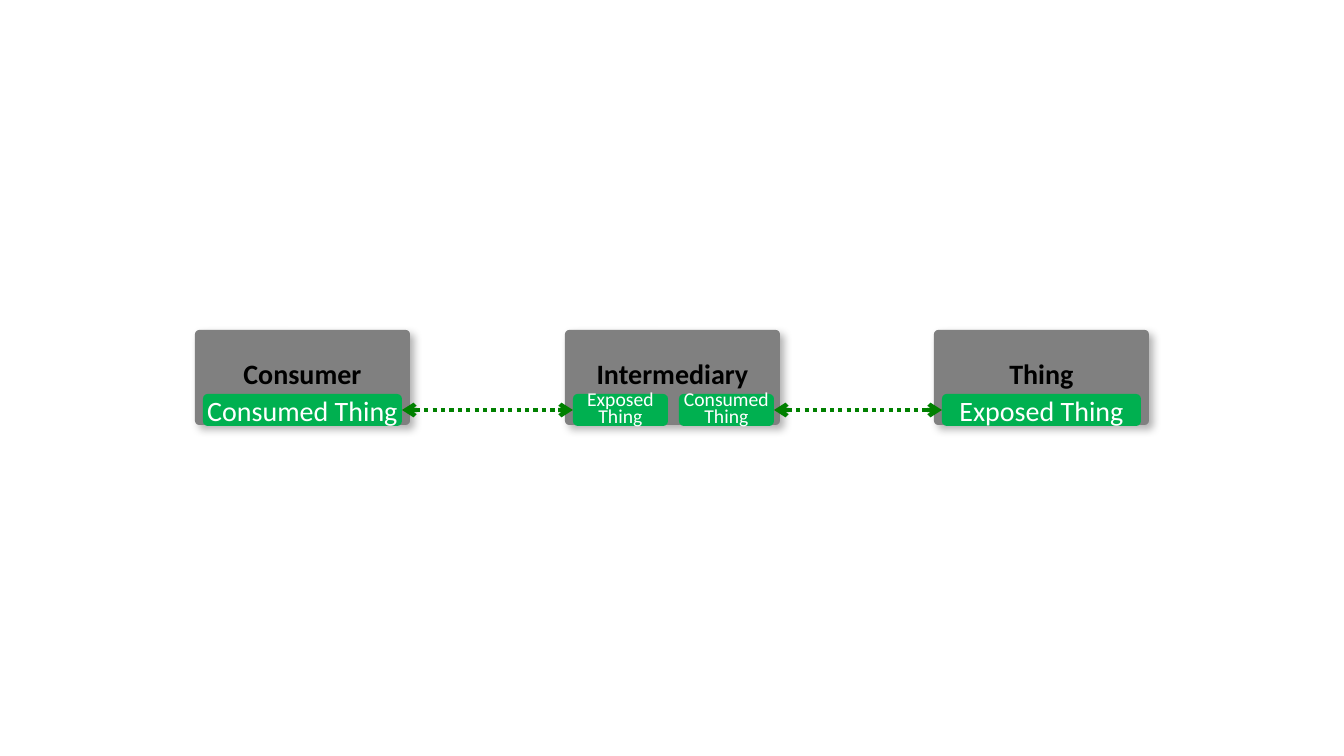
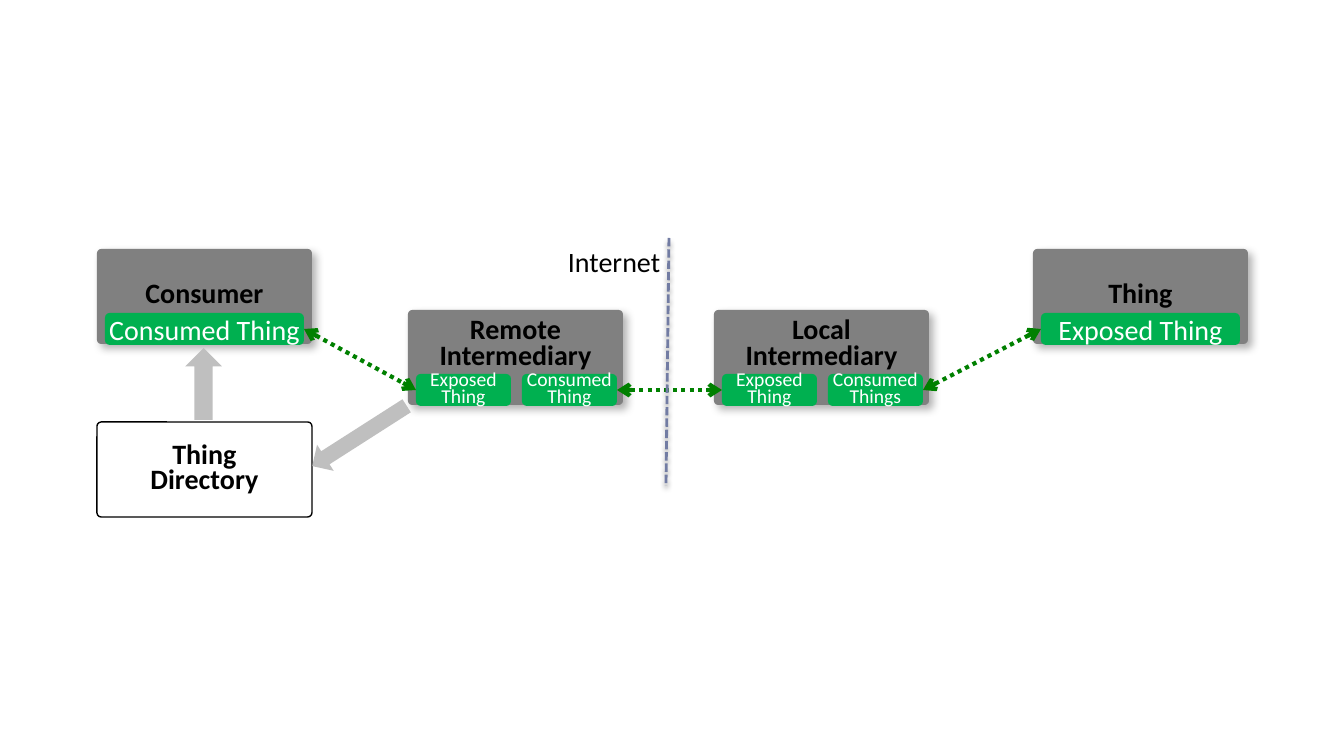
from dataclasses import dataclass

from lxml import etree
from pptx import Presentation
from pptx.dml.color import RGBColor
from pptx.enum import dml, shapes, text
from pptx.oxml.ns import qn
from pptx.util import Emu, Pt

SCALE = 12192000 / 1344  # EMU per pixel


@dataclass(frozen=True)
class Theme:
    """Colours, type sizes and shadows shared by the slides."""
    font: str = "Calibri"
    node: str = "808080"
    badge: str = "00B050"
    link: str = "008000"
    divider: str = "727CA3"
    flow: str = "BFBFBF"
    ink: str = "000000"
    paper: str = "FFFFFF"
    label_size: int = 20
    small_size: int = 14
    # blur pt, distance pt, direction degrees, opacity percent
    node_shadow: tuple = (6, 4, 45, 30)
    divider_shadow: tuple = (4, 3.4, 90, 40)


theme = Theme()


def set_effects(item, shadow=None):
    """Give a finished shape or connector the stated shadow, or none."""
    effects = etree.SubElement(item._element.spPr, qn("a:effectLst"))
    if shadow:
        blur, distance, direction, opacity = shadow
        outer = etree.SubElement(
            effects, qn("a:outerShdw"), blurRad=str(Pt(blur)), dist=str(Pt(distance)),
            dir=str(direction * 60000), algn="ctr", rotWithShape="0")
        color = etree.SubElement(outer, qn("a:srgbClr"), val=theme.ink)
        etree.SubElement(color, qn("a:alpha"), val=str(opacity * 1000))


def add_box(slide, box, fill, label, size=theme.label_size, ink=theme.ink, bold=False,
            spacing=1.0, corner=0.15, outline=None, shadow=None):
    """Add a rounded box with a centred label and return it."""
    panel = slide.shapes.add_shape(shapes.MSO_SHAPE.ROUNDED_RECTANGLE,
                                   *(Emu(round(v * SCALE)) for v in box))
    panel.adjustments[0] = corner
    panel.fill.solid()
    panel.fill.fore_color.rgb = RGBColor.from_string(fill)
    if outline:
        panel.line.color.rgb = RGBColor.from_string(outline)
        panel.line.width = Pt(1)
    else:
        panel.line.fill.background()
    set_effects(panel, shadow)
    frame = panel.text_frame
    frame.text = label
    frame.word_wrap = False
    frame.vertical_anchor = text.MSO_ANCHOR.MIDDLE
    if bold:
        frame.margin_left = frame.margin_right = frame.margin_top = frame.margin_bottom = 0
    for line in frame.paragraphs:
        line.alignment = text.PP_ALIGN.CENTER
        line.line_spacing = spacing
        font = line.runs[0].font
        font.name, font.size, font.bold = theme.font, Pt(size), bold
        font.color.rgb = RGBColor.from_string(ink)
    return panel


prs = Presentation()
prs.slide_width, prs.slide_height = Emu(12192000), Emu(6858000)

NODE_W, NODE_H = 215, 95
BADGE_TOP, BADGE_H, BADGE_INSET = 64, 32, 8
WIDE_BADGE, NARROW_BADGE, BADGE_STEP = 199, 95, 106
label_style = dict(bold=True, spacing=0.75, corner=0.045)

# Each chain runs from consumer to thing: left, top, label, badges
chains = [
    [(195, 330, "Consumer", ["Consumed Thing"]),
     (565, 330, "Intermediary", ["Exposed\nThing", "Consumed\nThing"]),
     (934, 330, "Thing", ["Exposed Thing"])],
    [(97, 249, "Consumer", ["Consumed Thing"]),
     (408, 310, "Remote\nIntermediary", ["Exposed\nThing", "Consumed\nThing"]),
     (714, 310, "Local\nIntermediary", ["Exposed\nThing", "Consumed\nThings"]),
     (1033, 249, "Thing", ["Exposed Thing"])],
]

for chain in chains:
    slide = prs.slides.add_slide(prs.slide_layouts[6])
    previous = None
    for left, top, name, badges in chain:
        node = add_box(slide, (left, top, NODE_W, NODE_H), theme.node, name,
                       shadow=theme.node_shadow, **label_style)
        if "\n" in name:  # lift two-line names clear of the badges
            node.text_frame.margin_bottom = Emu(round(25 * SCALE))
        paired = len(badges) == 2
        row = [add_box(slide,
                       (left + BADGE_INSET + i * BADGE_STEP, top + BADGE_TOP,
                        NARROW_BADGE if paired else WIDE_BADGE, BADGE_H),
                       theme.badge, badge, ink=theme.paper,
                       size=theme.small_size if paired else theme.label_size,
                       spacing=0.7 if paired else 1.0)
               for i, badge in enumerate(badges)]
        if previous:
            link = slide.shapes.add_connector(shapes.MSO_CONNECTOR.STRAIGHT, 0, 0, 0, 0)
            link.begin_connect(previous, 3)
            link.end_connect(row[0], 1)
            link.line.color.rgb = RGBColor.from_string(theme.link)
            link.line.width = Pt(3)
            link.line.dash_style = dml.MSO_LINE.ROUND_DOT
            for end in ("a:headEnd", "a:tailEnd"):
                etree.SubElement(link.line._get_or_add_ln(), qn(end), type="arrow")
            set_effects(link)
        previous = row[-1]

# The second slide also has the network boundary and the directory
divider = slide.shapes.add_connector(
    shapes.MSO_CONNECTOR.STRAIGHT, *(Emu(round(v * SCALE)) for v in (669, 238, 666, 486)))
divider.line.color.rgb = RGBColor.from_string(theme.divider)
divider.line.width = Pt(2)
divider.line.dash_style = dml.MSO_LINE.SQUARE_DOT
set_effects(divider, theme.divider_shadow)

internet = slide.shapes.add_textbox(
    *(Emu(round(v * SCALE)) for v in (558, 240, 114, 44))).text_frame
internet.text = "Internet"
internet.word_wrap = False
internet.auto_size = text.MSO_AUTO_SIZE.SHAPE_TO_FIT_TEXT
internet_font = internet.paragraphs[0].runs[0].font
internet_font.name, internet_font.size = theme.font, Pt(theme.label_size)
internet_font.color.rgb = RGBColor.from_string(theme.ink)

add_box(slide, (97, 422, NODE_W, NODE_H), theme.paper, "Thing\nDirectory",
        outline=theme.ink, **label_style)

for box, angle in [((344, 380, 31, 112), 57.4), ((185, 348, 37, 72), 180)]:
    flow = slide.shapes.add_shape(shapes.MSO_SHAPE.DOWN_ARROW,
                                  *(Emu(round(v * SCALE)) for v in box))
    flow.rotation = angle
    flow.fill.solid()
    flow.fill.fore_color.rgb = RGBColor.from_string(theme.flow)
    flow.line.fill.background()
    set_effects(flow)

prs.save("out.pptx")
